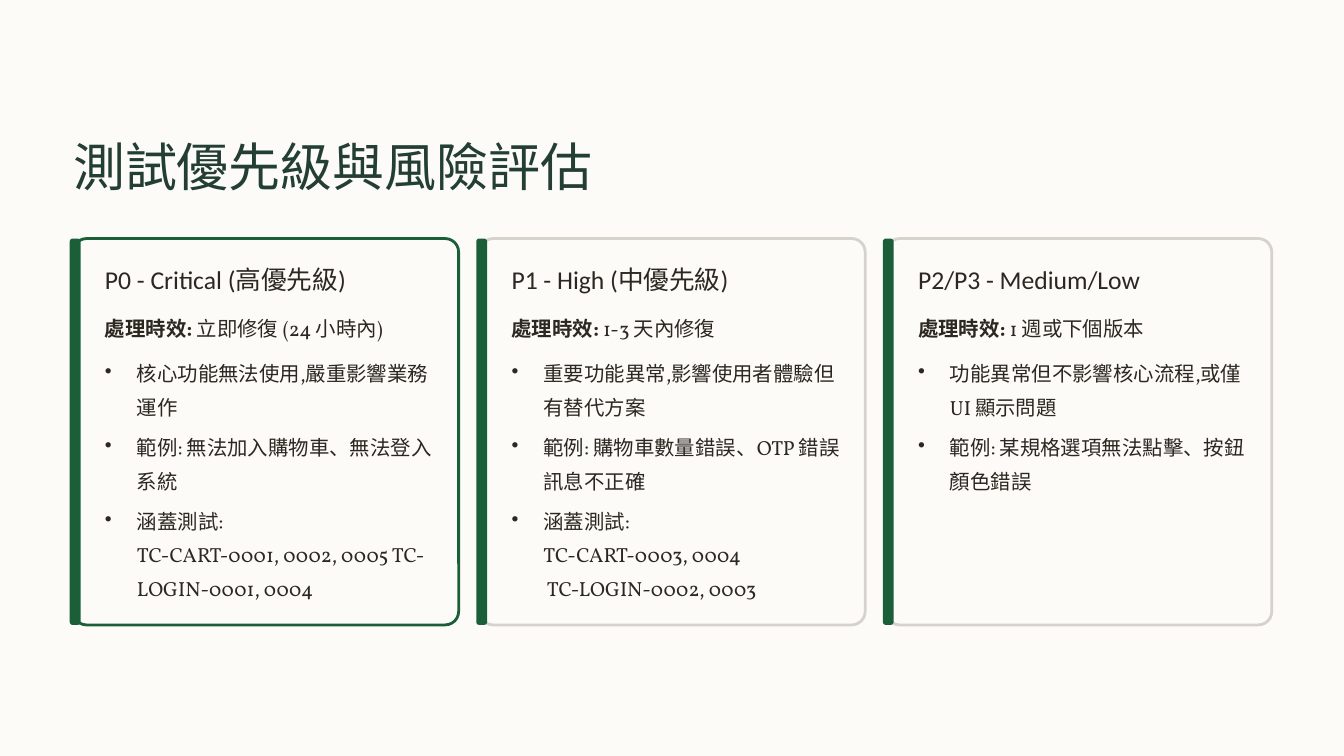
"""Build a slide of three cards on test priorities and risk."""
from lxml import etree
from pptx import Presentation
from pptx.dml.color import RGBColor
from pptx.enum import shapes, text
from pptx.oxml.ns import qn
from pptx.util import Inches, Pt

TITLE = "測試優先級與風險評估"
DEADLINE_LABEL = "處理時效:"
CARDS = [
    {
        "heading": "P0 - Critical (高優先級)",
        "deadline": " 立即修復 (24 小時內)",
        "border": "green",
        "bullets": [
            "核心功能無法使用,嚴重影響業務運作",
            "範例: 無法加入購物車、無法登入系統",
            "涵蓋測試: \nTC-CART-0001, 0002, 0005 TC-LOGIN-0001, 0004",
        ],
    },
    {
        "heading": "P1 - High (中優先級)",
        "deadline": " 1-3 天內修復",
        "border": "grey",
        "bullets": [
            "重要功能異常,影響使用者體驗但有替代方案",
            "範例: 購物車數量錯誤、OTP 錯誤訊息不正確",
            "涵蓋測試: \nTC-CART-0003, 0004 \n TC-LOGIN-0002, 0003",
        ],
    },
    {
        "heading": "P2/P3 - Medium/Low",
        "deadline": " 1 週或下個版本",
        "border": "grey",
        "bullets": [
            "功能異常但不影響核心流程,或僅 UI 顯示問題",
            "範例: 某規格選項無法點擊、按鈕顏色錯誤",
        ],
    },
]
COLORS = {
    "paper": "FCFBF8",
    "title": "233E32",
    "green": "1B5F39",
    "grey": "D6D3CC",
    "ink": "2C2821",
}
CARD_LEFT, CARD_TOP, CARD_WIDTH, CARD_HEIGHT = 0.87, 2.84, 4.59, 4.6
CARD_PITCH = 4.84
BAR_OFFSET, BAR_WIDTH = -0.04, 0.13
TEXT_OFFSET, TEXT_WIDTH = 0.38, 3.93
BULLET_INDENT = 0.38


def color(name):
    return RGBColor.from_string(COLORS[name])


def prepare_frame(frame):
    frame.margin_left = frame.margin_right = 0
    frame.margin_top = frame.margin_bottom = 0
    frame.word_wrap = True
    frame.auto_size = text.MSO_AUTO_SIZE.NONE
    frame.vertical_anchor = text.MSO_ANCHOR.TOP


def format_paragraph(paragraph, font, size, spacing, ink="ink"):
    paragraph.alignment = text.PP_ALIGN.LEFT
    paragraph.line_spacing = Pt(spacing)
    for run in paragraph.runs:
        run.font.name = font
        run.font.size = Pt(size)
        run.font.color.rgb = color(ink)


def add_text_box(slide, left, top, height):
    box = slide.shapes.add_textbox(
        Inches(left), Inches(top), Inches(TEXT_WIDTH), Inches(height))
    prepare_frame(box.text_frame)
    return box.text_frame


def add_rounded(slide, left, width, radius, fill, border=None):
    shape = slide.shapes.add_shape(
        shapes.MSO_SHAPE.ROUNDED_RECTANGLE,
        Inches(left), Inches(CARD_TOP), Inches(width), Inches(CARD_HEIGHT))
    shape.adjustments[0] = radius
    shape.shadow.inherit = False
    shape.fill.solid()
    shape.fill.fore_color.rgb = color(fill)
    if border:
        shape.line.color.rgb = color(border)
        shape.line.width = Pt(2.4)
    else:
        shape.line.fill.background()


def add_bullet(paragraph):
    properties = paragraph._p.get_or_add_pPr()
    properties.set("marL", str(Inches(BULLET_INDENT)))
    properties.set("indent", str(-Inches(BULLET_INDENT)))
    etree.SubElement(properties, qn("a:buChar")).set("char", "•")


def add_card(slide, left, card):
    add_rounded(slide, left, CARD_WIDTH, 0.035, "paper", card["border"])
    add_rounded(slide, left + BAR_OFFSET, BAR_WIDTH, 0.28, "green")
    text_left = left + TEXT_OFFSET

    heading = add_text_box(slide, text_left, 3.12, 0.39).paragraphs[0]
    heading.text = card["heading"]
    format_paragraph(heading, "Calibri", 22, 27.5)

    deadline = add_text_box(slide, text_left, 3.66, 0.4).paragraphs[0]
    for words, bold in ((DEADLINE_LABEL, True), (card["deadline"], False)):
        run = deadline.add_run()
        run.text = words
        run.font.bold = bold
    format_paragraph(deadline, "Vollkorn", 17.5, 28.5)

    frame = add_text_box(slide, text_left, 4.2, 2.95)
    for index, words in enumerate(card["bullets"]):
        paragraph = frame.add_paragraph() if index else frame.paragraphs[0]
        paragraph.text = words
        add_bullet(paragraph)
        format_paragraph(paragraph, "Vollkorn", 17.5, 28.5)
        if index:
            paragraph.space_before = Pt(6.3)


def main():
    presentation = Presentation()
    presentation.slide_width, presentation.slide_height = Inches(16), Inches(9)
    slide = presentation.slides.add_slide(presentation.slide_layouts[5])
    slide.background.fill.solid()
    slide.background.fill.fore_color.rgb = color("paper")

    title = slide.shapes.title
    title.left, title.top = Inches(CARD_LEFT), Inches(1.57)
    title.width, title.height = Inches(14.26), Inches(0.78)
    title.text_frame.text = TITLE
    prepare_frame(title.text_frame)
    format_paragraph(
        title.text_frame.paragraphs[0], "Calibri", 44.5, 55.5, "title")

    for index, card in enumerate(CARDS):
        add_card(slide, CARD_LEFT + index * CARD_PITCH, card)
    presentation.save("out.pptx")


if __name__ == "__main__":
    main()
